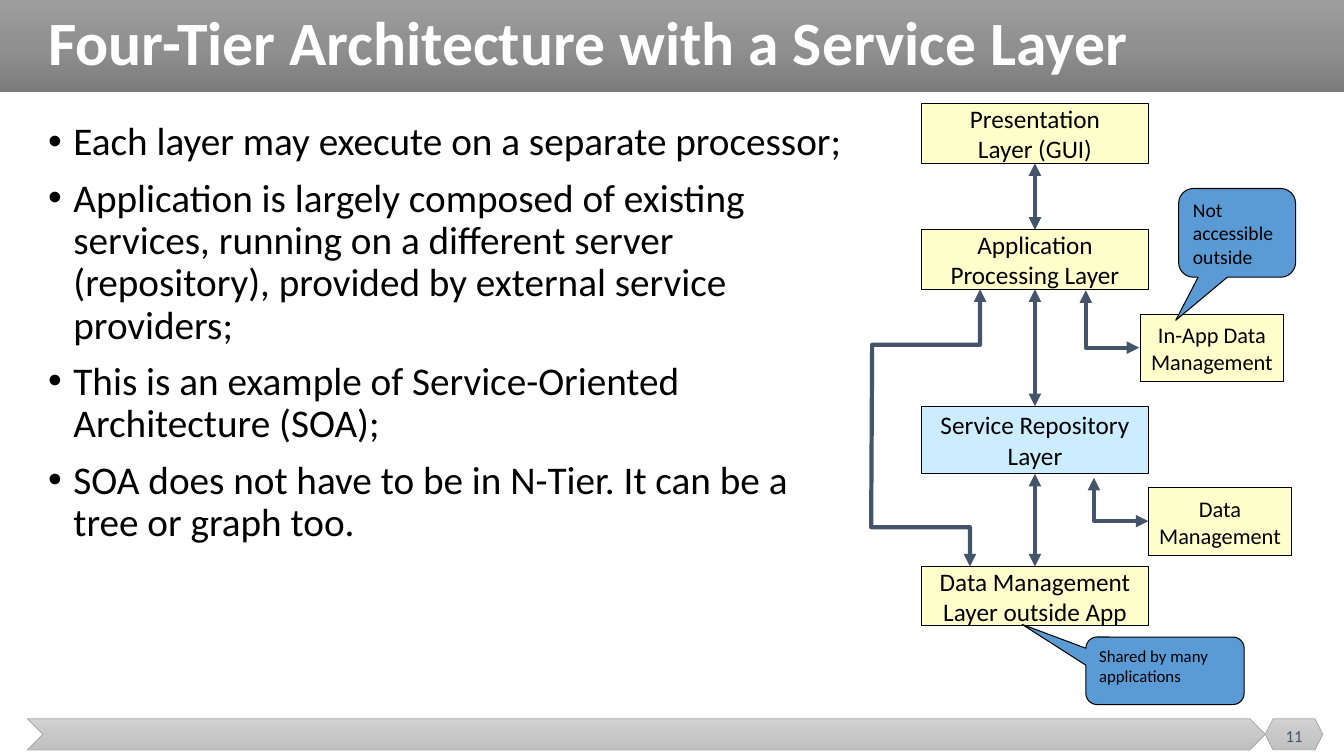
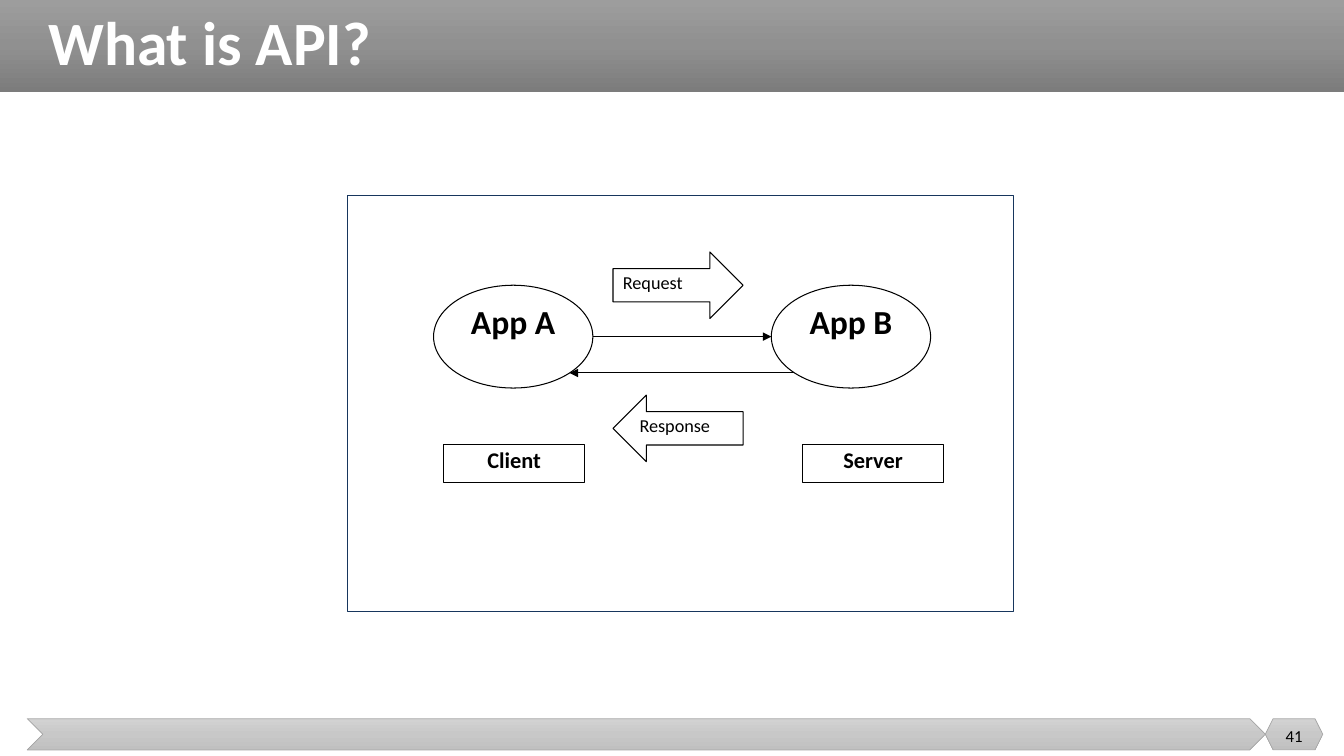
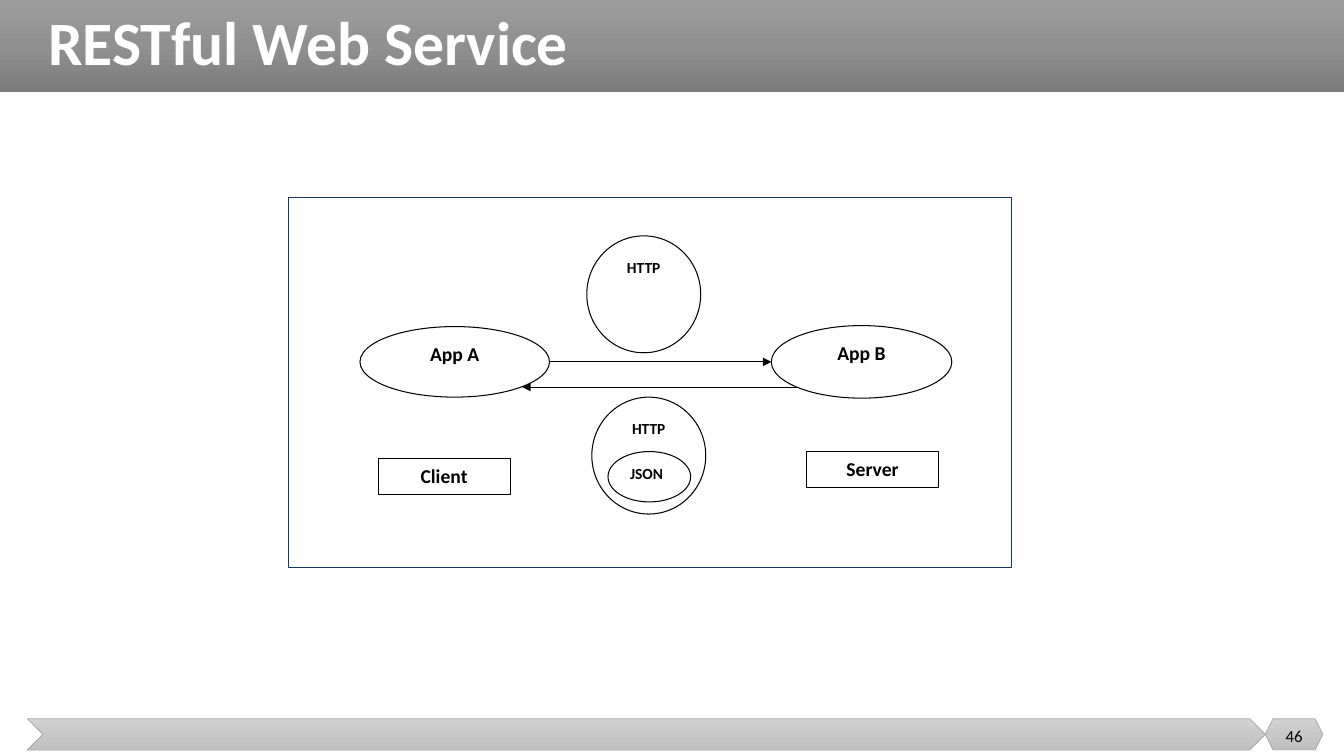
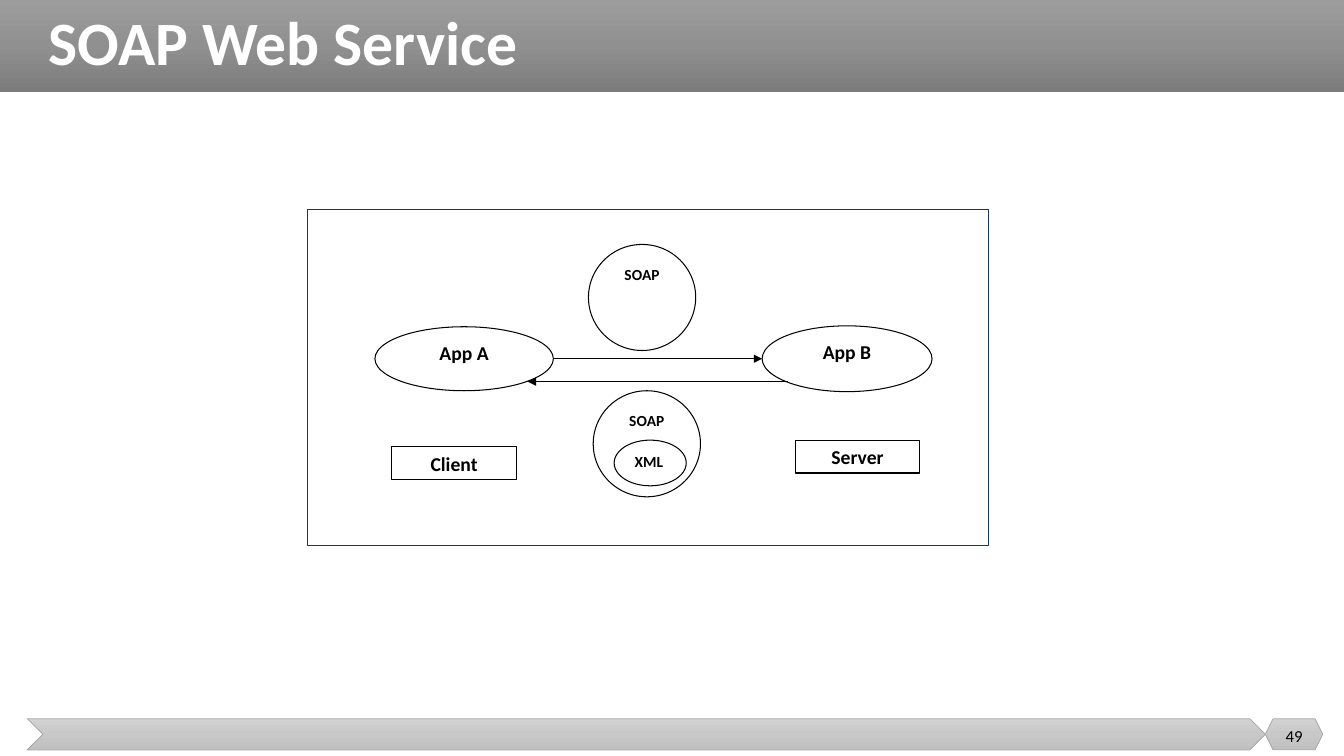
from copy import deepcopy

from lxml import etree
from pptx import Presentation
from pptx.dml.color import RGBColor
from pptx.enum import shapes, text
from pptx.oxml.ns import qn
from pptx.util import Inches, Pt

FONT = "Calibri"
COLORS = {
    "black": "000000", "white": "FFFFFF", "slate": "44546A", "navy": "17365D",
    "yellow": "FFFFCC", "sky": "CCECFF", "blue": "5B9BD5", "grey": "A5A5A5",
}
TITLE_GRADIENT = ("9D9D9D", "909090", "7C7C7C")
FOOTER_GRADIENT = ("D2D2D2", "C8C8C8", "C0C0C0")
SHAPE = shapes.MSO_SHAPE
LEFT, CENTER = text.PP_ALIGN.LEFT, text.PP_ALIGN.CENTER
TOP, MIDDLE = text.MSO_ANCHOR.TOP, text.MSO_ANCHOR.MIDDLE


def rgb(name):
    return RGBColor.from_string(COLORS[name])


def write(sp, lines, size, color="black", bold=False, align=LEFT, anchor=TOP,
          wrap=True, spacing=None):
    tf = sp.text_frame
    tf.text = lines
    tf.word_wrap = wrap
    tf.vertical_anchor = anchor
    for p in tf.paragraphs:
        p.alignment = align
        if spacing:
            p.line_spacing = spacing
        for r in p.runs:
            r.font.name, r.font.size, r.font.bold = FONT, Pt(size), bold
            r.font.color.rgb = rgb(color)


def add_text(s, box, lines, size, **style):
    sp = s.shapes.add_textbox(*map(Inches, box))
    write(sp, lines, size, **style)
    return sp


def add_shape(s, kind, box, fill=None, line="black", width=0.75):
    sp = s.shapes.add_shape(kind, *map(Inches, box))
    sp.shadow.inherit = False
    if fill:
        sp.fill.solid()
        sp.fill.fore_color.rgb = rgb(fill)
    else:
        sp.fill.background()
    if line:
        sp.line.color.rgb = rgb(line)
        sp.line.width = Pt(width)
    else:
        sp.line.fill.background()
    return sp


def add_label(s, kind, box, lines, size, bold=True, align=CENTER, spacing=None):
    """White outlined shape with text at its top."""
    sp = add_shape(s, kind, box, "white")
    write(sp, lines, size, bold=bold, align=align, spacing=spacing)
    return sp


def shade(sp, stops):
    """Fill with a vertical gradient of three evenly spaced colours."""
    sp.fill.gradient()
    sp.fill.gradient_angle = 270
    gs_list = sp._element.spPr.find(".//" + qn("a:gsLst"))
    gs_list.insert(1, deepcopy(gs_list[0]))
    for i, (stop, color) in enumerate(zip(sp.fill.gradient_stops, stops)):
        stop.color.rgb = RGBColor.from_string(color)
        stop.position = i / 2


def style_line(sp, color, width, ends):
    sp.line.color.rgb = rgb(color)
    sp.line.width = Pt(width)
    for end in ends:
        etree.SubElement(sp.line._get_or_add_ln(), qn("a:" + end), type="triangle")


def add_arrow(s, start, end, color="black", width=0.75, ends=("tailEnd",)):
    line = s.shapes.add_connector(shapes.MSO_CONNECTOR.STRAIGHT,
                                  *map(Inches, (*start, *end)))
    style_line(line, color, width, ends)
    etree.SubElement(line._element.spPr, qn("a:effectLst"))
    return line


def add_bent_arrow(s, points):
    points = [(Inches(x), Inches(y)) for x, y in points]
    builder = s.shapes.build_freeform(*points[0])
    builder.add_line_segments(points[1:], close=False)
    sp = builder.convert_to_shape()
    sp.shadow.inherit = False
    sp.fill.background()
    style_line(sp, "slate", 3, ("headEnd", "tailEnd"))


def add_slide(prs, title, number, number_color="black"):
    s = prs.slides.add_slide(prs.slide_layouts[6])
    shade(add_shape(s, SHAPE.RECTANGLE, (0, 0, 13.33, 0.91), line=None), TITLE_GRADIENT)
    for kind, x, w in ((SHAPE.CHEVRON, 0.27, 12.28), (SHAPE.HEXAGON, 12.55, 0.57)):
        shade(add_shape(s, kind, (x, 7.13, w, 0.31), line="grey", width=0.5),
              FOOTER_GRADIENT)
    add_text(s, (0.38, 0, 12.74, 0.91), title, 44, color="white", bold=True,
             anchor=MIDDLE, spacing=0.9)
    add_text(s, (12.55, 7.1, 0.57, 0.4), str(number), 12, color=number_color,
             align=CENTER, anchor=MIDDLE)
    return s


def add_bullets(s, box, items):
    sp = add_text(s, box, "\n".join(items), 28, spacing=0.9)
    for i, p in enumerate(sp.text_frame.paragraphs):
        p.space_before = Pt(10 if i else 0)
        pPr = p._p.get_or_add_pPr()
        pPr.set("marL", str(Inches(0.25)))
        pPr.set("indent", str(-Inches(0.25)))
        etree.SubElement(pPr, qn("a:buFont"), typeface="Arial")
        etree.SubElement(pPr, qn("a:buChar"), char="•")


def add_tier(s, box, lines, size=18, fill="yellow"):
    sp = add_shape(s, SHAPE.RECTANGLE, box, fill)
    write(sp, lines, size, align=CENTER, anchor=MIDDLE, wrap=False)
    return sp


def add_callout(s, box, words, size, tip):
    sp = add_shape(s, SHAPE.ROUNDED_RECTANGULAR_CALLOUT, box, "blue")
    sp.adjustments[0], sp.adjustments[1] = tip
    write(sp, words, size)


def draw_tiers(s, x, y):
    """Stack of layers with side stores and callouts, from its top left layer."""
    layers = (
        (0, 0.59, "Presentation\nLayer (GUI)", "yellow"),
        (1.25, 0.59, "Application\nProcessing Layer", "yellow"),
        (3, 0.67, "Service Repository\nLayer", "sky"),
        (4.59, 0.59, "Data Management\nLayer outside App", "yellow"),
    )
    tiers = [add_tier(s, (x, y + dy, 2.25, h), lines, fill=fill)
             for dy, h, lines, fill in layers]
    for upper, lower in zip(tiers, tiers[1:]):
        link = add_arrow(s, (x, y), (x, y), "slate", 3, ("headEnd", "tailEnd"))
        link.begin_connect(upper, 2)
        link.end_connect(lower, 0)

    for dx, dy, lines in ((2.17, 2.09, "In-App Data\nManagement"),
                          (2.25, 3.81, "Data\nManagement")):
        add_tier(s, (x + dx, y + dy, 1.42, 0.67), lines, 16)

    bent_arrows = (
        ((0.58, 1.84), (0.58, 2.39), (-0.49, 2.39), (-0.5, 4.2), (0.48, 4.2), (0.48, 4.59)),
        ((1.63, 1.85), (1.63, 2.42), (2.16, 2.42)),
        ((1.71, 3.71), (1.71, 4.14), (2.25, 4.14)),
    )
    for points in bent_arrows:
        add_bent_arrow(s, [(x + dx, y + dy) for dx, dy in points])

    add_callout(s, (x + 2.55, y + 0.84, 1.16, 0.88), "Not accessible outside",
                14, (-0.525, 0.986))
    add_callout(s, (x + 1.63, y + 5.29, 1.57, 0.67), "Shared by many applications",
                12, (-0.903, -0.687))


def draw_api(s, x, y):
    add_shape(s, SHAPE.RECTANGLE, (x, y, 6.6, 4.13), line="navy")
    for app_x, app, role_x, role in ((0.85, "App A", 0.95, "Client"),
                                     (4.2, "App B", 4.51, "Server")):
        add_label(s, SHAPE.OVAL, (x + app_x, y + 0.89, 1.58, 1.02), app, 24, spacing=0.9)
        add_label(s, SHAPE.RECTANGLE, (x + role_x, y + 2.47, 1.4, 0.38), role, 16,
                  spacing=0.9)
    for x1, x2, dy in ((2.43, 4.2, 1.4), (4.43, 2.2, 1.76)):
        add_arrow(s, (x + x1, y + dy), (x + x2, y + dy))
    for kind, dy, words in ((SHAPE.RIGHT_ARROW, 0.56, "Request"),
                            (SHAPE.LEFT_ARROW, 1.98, "Response")):
        add_label(s, kind, (x + 2.63, y + dy, 1.29, 0.66), words, 13, bold=False,
                  align=LEFT, spacing=0.9)


def draw_web_service(s, box, protocol, payload, payload_x, payload_w):
    """Two apps exchanging messages; parts are laid out on a 7.17 x 3.67 grid."""
    x, y, w, h = box
    kx, ky = w / 7.17, h / 3.67

    def point(dx, dy):
        return x + dx * kx, y + dy * ky

    def label(kind, dx, dy, dw, dh, words, size, align=CENTER):
        add_label(s, kind, (*point(dx, dy), dw * kx, dh * ky), words, size, align=align)

    add_shape(s, SHAPE.RECTANGLE, box, line="navy")
    label(SHAPE.OVAL, 0.71, 1.28, 1.88, 0.7, "App A", 14)
    label(SHAPE.OVAL, 4.79, 1.27, 1.79, 0.72, "App B", 14)
    label(SHAPE.RECTANGLE, 0.89, 2.59, 1.31, 0.36, "Client", 14)
    label(SHAPE.RECTANGLE, 5.14, 2.52, 1.31, 0.36, "Server", 14)
    add_arrow(s, point(2.59, 1.63), point(4.79, 1.63))
    add_arrow(s, point(5.06, 1.88), point(2.32, 1.88))
    for dx, dy in ((2.96, 0.38), (3.01, 1.98)):
        label(SHAPE.OVAL, dx, dy, 1.13, 1.16, protocol, 11)
    label(SHAPE.OVAL, payload_x, 2.52, payload_w, 0.5, payload, 11, LEFT)


def main():
    prs = Presentation()
    prs.slide_width, prs.slide_height = Inches(13.33), Inches(7.5)

    s = add_slide(prs, "Four-Tier Architecture with a Service Layer", 11, "slate")
    add_bullets(s, (0.38, 1.16, 8.18, 5.59), (
        "Each layer may execute on a separate processor;",
        "Application is largely composed of existing services, running on a different "
        "server (repository), provided by external service providers;",
        "This is an example of Service-Oriented Architecture (SOA);",
        "SOA does not have to be in N-Tier. It can be a tree or graph too.",
    ))
    draw_tiers(s, 9.14, 1.03)

    s = add_slide(prs, "What is API?", 41)
    draw_api(s, 3.45, 1.94)

    s = add_slide(prs, "RESTful Web Service", 46)
    draw_web_service(s, (2.86, 1.96, 7.17, 3.67), "HTTP", "JSON", 3.17, 0.82)

    s = add_slide(prs, "SOAP Web Service", 49)
    draw_web_service(s, (3.05, 2.08, 6.75, 3.33), "SOAP", "XML", 3.23, 0.76)

    prs.save("out.pptx")


if __name__ == "__main__":
    main()
